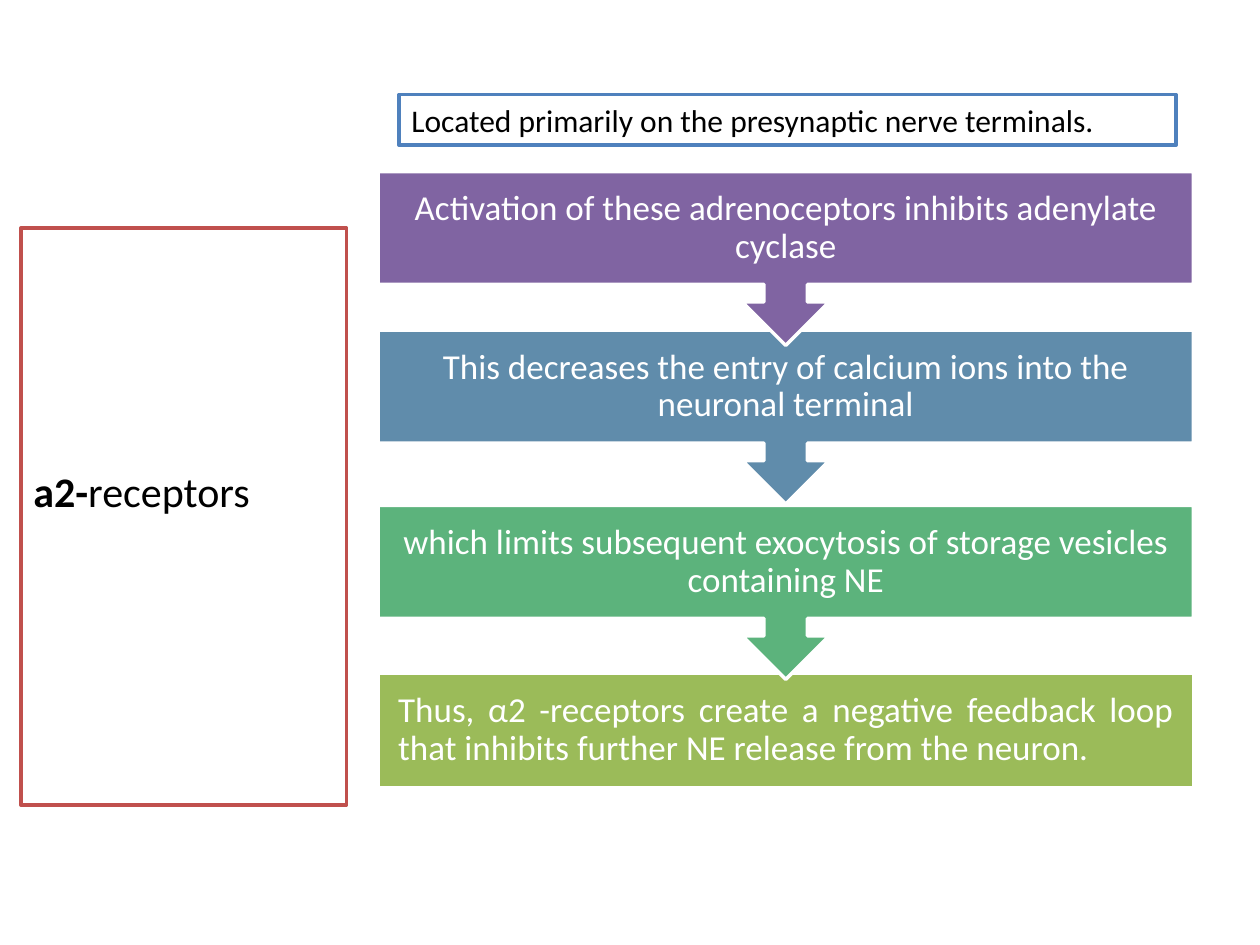
from dataclasses import dataclass

from pptx import Presentation
from pptx.dml.color import RGBColor
from pptx.enum.shapes import MSO_SHAPE
from pptx.enum.text import MSO_ANCHOR, PP_ALIGN
from pptx.shapes.autoshape import Shape
from pptx.slide import Slide
from pptx.util import Pt

WHITE = RGBColor(0xFF, 0xFF, 0xFF)
BLACK = RGBColor(0x00, 0x00, 0x00)
RED = RGBColor(0xC0, 0x50, 0x4D)
BLUE = RGBColor(0x4F, 0x81, 0xBD)
PURPLE = RGBColor(0x80, 0x64, 0xA2)
STEEL = RGBColor(0x60, 0x8C, 0xAB)
GREEN = RGBColor(0x5C, 0xB3, 0x7C)
OLIVE = RGBColor(0x9B, 0xBB, 0x59)

RECT = MSO_SHAPE.RECTANGLE
ARROW = MSO_SHAPE.DOWN_ARROW_CALLOUT
STEP_LEFT, STEP_WIDTH, STEP_PAD = 216, 466, 11.5
ARROW_HEIGHT, LAST_HEIGHT = 99.4, 65.5


@dataclass
class Box:
    left: float
    top: float
    width: float
    height: float
    fill: RGBColor
    line: RGBColor
    kind: MSO_SHAPE = RECT


@dataclass
class Step:
    text: str
    top: float
    fill: RGBColor
    last: bool = False


STEPS = [
    Step("Activation of these adrenoceptors inhibits adenylate cyclase", 98, PURPLE),
    Step("This decreases the entry of calcium ions into the neuronal terminal",
         188.7, STEEL),
    Step("which limits subsequent exocytosis of storage vesicles containing NE",
         288.8, GREEN),
    Step("Thus, α2 -receptors create a negative feedback loop that inhibits "
         "further NE release from the neuron.", 384.5, OLIVE, last=True),
]


def draw_box(slide: Slide, box: Box) -> Shape:
    shape = slide.shapes.add_shape(
        box.kind, Pt(box.left), Pt(box.top), Pt(box.width), Pt(box.height))
    shape.shadow.inherit = False
    shape.fill.solid()
    shape.fill.fore_color.rgb = box.fill
    shape.line.color.rgb = box.line
    shape.line.width = Pt(2)
    return shape


def write(shape: Shape, runs: list[tuple[str, bool]], size: float,
          color: RGBColor, align: PP_ALIGN, **frame: object) -> None:
    """Fill a shape with one paragraph of (text, bold) runs."""
    body = shape.text_frame
    style = {"word_wrap": True, "vertical_anchor": MSO_ANCHOR.MIDDLE, **frame}
    for name, value in style.items():
        setattr(body, name, value)
    para = body.paragraphs[0]
    para.alignment = align
    for text, bold in runs:
        run = para.add_run()
        run.text = text
        form = {"name": "Calibri", "size": Pt(size), "bold": bold}
        for name, value in form.items():
            setattr(run.font, name, value)
        run.font.color.rgb = color


def draw_step(slide: Slide, step: Step) -> None:
    kind, height, align = (
        (RECT, LAST_HEIGHT, PP_ALIGN.JUSTIFY) if step.last
        else (ARROW, ARROW_HEIGHT, PP_ALIGN.CENTER))
    shape = draw_box(slide, Box(STEP_LEFT, step.top, STEP_WIDTH, height,
                                step.fill, WHITE, kind))
    pads = {f"margin_{side}": Pt(STEP_PAD)
            for side in ("left", "top", "right", "bottom")}
    write(shape, [(step.text, False)], 20, WHITE, align, **pads)
    shape.text_frame.paragraphs[0].line_spacing = 0.9


def main() -> None:
    deck = Presentation()
    deck.slide_width, deck.slide_height = Pt(720), Pt(540)
    slide = deck.slides.add_slide(deck.slide_layouts[6])

    # Topic panel; its deeper bottom margin lifts the text above centre
    topic = draw_box(slide, Box(12, 130.3, 186, 329.8, WHITE, RED))
    write(topic, [("a2-", True), ("receptors", False)], 24, BLACK,
          PP_ALIGN.JUSTIFY, margin_bottom=Pt(33))

    # Chain of steps, last one first so each arrow overlaps the next step
    for step in reversed(STEPS):
        draw_step(slide, step)

    # Location note
    note = draw_box(slide, Box(228, 54, 444, 29, WHITE, BLUE))
    write(note, [("Located primarily on the presynaptic nerve terminals.", False)],
          18, BLACK, PP_ALIGN.JUSTIFY)

    deck.save("out.pptx")


if __name__ == "__main__":
    main()
